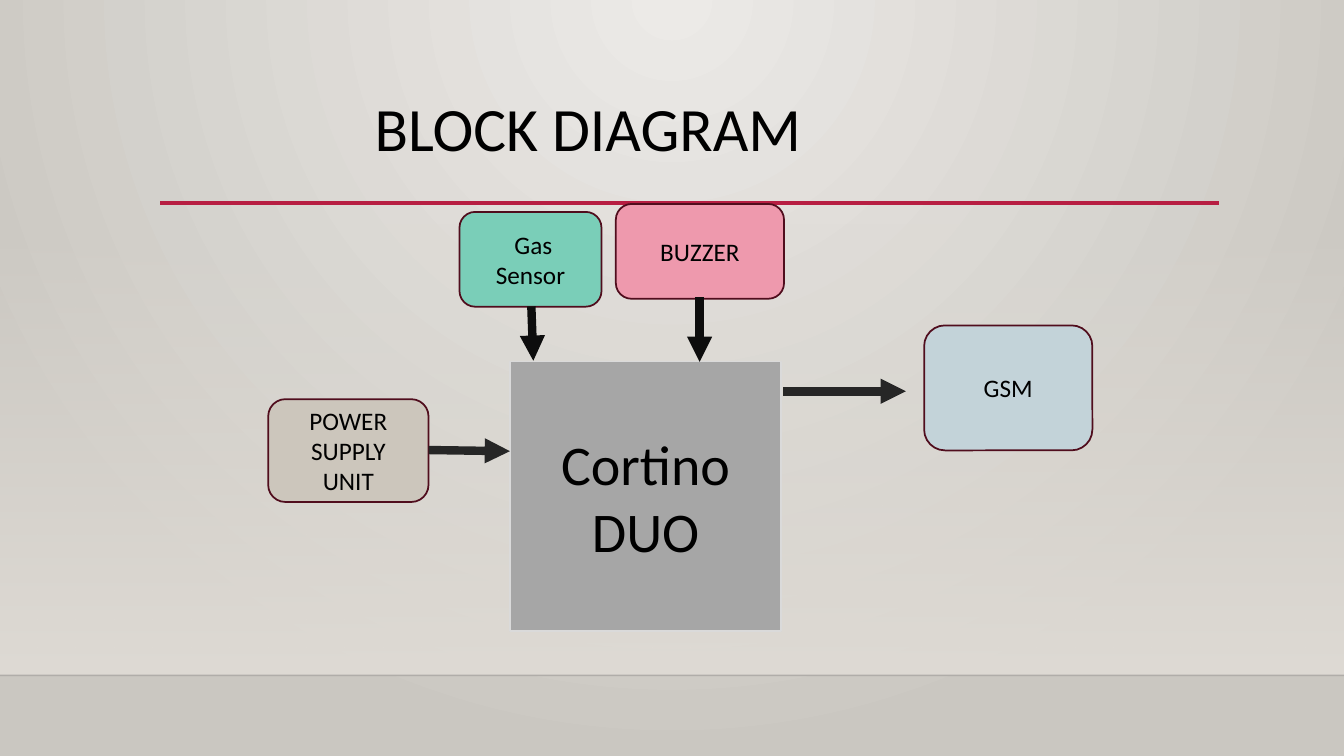
from pptx import Presentation
from pptx.dml.color import RGBColor as RGB
from pptx.enum.shapes import MSO_CONNECTOR as LINK, MSO_SHAPE as SHAPE
from pptx.enum.text import MSO_ANCHOR as ANCHOR, PP_ALIGN as ALIGN
from pptx.oxml.ns import qn
from pptx.util import Cm, Pt
from lxml.etree import SubElement as sub

BLACK = RGB(0, 0, 0)
EDGE = RGB(0x00, 0x00, 0x01)
INK = RGB(0x0D, 0x0D, 0x0D)
DARK = RGB(0x26, 0x26, 0x26)
RED = RGB(0xB7, 0x1E, 0x42)
WINE = RGB(0x50, 0x0D, 0x1D)
GREY = RGB(0xA6, 0xA6, 0xA6)
PALE = RGB(0xDA, 0xDA, 0xDA)
BLUE = RGB(0xC3, 0xD3, 0xD9)
PINK = RGB(0xEE, 0x99, 0xAD)
GREEN = RGB(0x7A, 0xCE, 0xB8)
TAN = RGB(0xCC, 0xC6, 0xBC)
SAND = RGB(0xDF, 0xDB, 0xD5)
LIGHT = RGB(0xEC, 0xEA, 0xE7)
SHADE = RGB(0xCA, 0xC7, 0xC1)

WIDE, HIGH = 33.87, 19.05
FLOOR = 17.02


def apply(item, form):
    for name, value in form.items():
        setattr(item, name, value)


def fade(color, part):
    """Set the opacity of a colour element, in percent."""
    sub(color, qn("a:alpha"), val=str(part * 1000))


class Board:
    font = "Calibri"
    frame = {"word_wrap": True, "vertical_anchor": ANCHOR.MIDDLE}

    def __init__(self, deck):
        self.slide = deck.slides.add_slide(deck.slide_layouts[5])
        self.shapes = self.slide.shapes

    def blend(self, fill, first, last):
        fill.gradient()
        for stop, color, spot in zip(fill.gradient_stops, (first, last), (0, 1)):
            stop.color.rgb = color
            stop.position = spot

    def back(self, first, last):
        """Fill the background with rings centred on the top edge."""
        self.blend(self.slide.background.fill, first, last)
        grad = self.slide.element.xpath(".//p:bgPr/a:gradFill")[0]
        grad.remove(grad.find(qn("a:lin")))
        rings = sub(grad, qn("a:path"), {"path": "circle"})
        sub(rings, qn("a:fillToRect"), l="43000", t="0", r="43000", b="100000")

    def panel(self, x, y, w, h, color):
        """Add a band that fades in from top to bottom."""
        band = self.shapes.add_shape(SHAPE.RECTANGLE, Cm(x), Cm(y), Cm(w), Cm(h))
        band.shadow.inherit = False
        band.line.fill.background()
        self.blend(band.fill, color, color)
        band.fill.gradient_angle = 270
        fade(band.element.xpath(".//a:gs/a:srgbClr")[0], 0)

    def label(self, frame, text, size, align):
        para = frame.paragraphs[0]
        para.alignment = align
        run = para.add_run()
        run.text = text
        apply(run.font, {"name": self.font, "size": Pt(size)})
        run.font.color.rgb = BLACK
        return para

    def title(self, text, x, y, w, h, size, inset):
        head = self.shapes.title
        apply(head, {"left": Cm(x), "top": Cm(y), "width": Cm(w), "height": Cm(h)})
        apply(head.text_frame, {**self.frame, "vertical_anchor": ANCHOR.TOP,
                                "margin_left": Cm(inset)})
        self.label(head.text_frame, text, size, ALIGN.LEFT).line_spacing = 0.9

    def block(self, text, x, y, w, h, color, edge=WINE, size=18,
              kind=SHAPE.ROUNDED_RECTANGLE):
        box = self.shapes.add_shape(kind, Cm(x), Cm(y), Cm(w), Cm(h))
        box.shadow.inherit = False
        box.fill.solid()
        box.fill.fore_color.rgb = color
        box.line.color.rgb = edge
        box.line.width = Pt(1.25)
        apply(box.text_frame, self.frame)
        self.label(box.text_frame, text, size, ALIGN.CENTER)

    def line(self, x1, y1, x2, y2, color, width):
        link = self.shapes.add_connector(LINK.STRAIGHT, Cm(x1), Cm(y1), Cm(x2), Cm(y2))
        link.line.color.rgb = color
        link.line.width = Pt(width)
        sub(link.element.spPr, qn("a:effectLst"))
        return link

    def arrow(self, x1, y1, x2, y2, color):
        link = self.line(x1, y1, x2, y2, color, 6)
        sub(link.element.spPr.find(qn("a:ln")), qn("a:tailEnd"), type="triangle")


def main():
    deck = Presentation()
    apply(deck, {"slide_width": Cm(WIDE), "slide_height": Cm(HIGH)})
    board = Board(deck)

    board.back(LIGHT, SHADE)
    board.panel(0, 5.61, WIDE, FLOOR - 5.61, SAND)
    floor = board.line(0, FLOOR, WIDE, FLOOR, EDGE, 1)
    fade(floor.element.xpath(".//a:ln//a:srgbClr")[0], 20)
    board.line(4.04, 5.12, 30.73, 5.12, RED, 2.5)
    board.title("BLOCK DIAGRAM", 2.84, 2.34, 26.67, 2.92, size=44, inset=6.6)

    board.block("Cortino DUO", 12.85, 9.11, 6.84, 6.8, GREY, PALE, 40, SHAPE.RECTANGLE)
    for block in (
        ("GSM", 23.29, 8.2, 4.24, 3.15, BLUE),
        ("BUZZER", 15.52, 5.14, 4.24, 2.39, PINK),
        (" Gas Sensor", 11.58, 5.34, 3.58, 2.39, GREEN),
        ("POWER SUPPLY UNIT", 6.76, 10.06, 4.04, 2.59, TAN),
    ):
        board.block(*block)

    for arrow in (
        (19.74, 9.86, 22.83, 9.86, DARK),
        (17.63, 7.49, 17.63, 9.12, INK),
        (13.39, 7.72, 13.44, 9.09, INK),
        (10.8, 11.34, 12.85, 11.37, DARK),
    ):
        board.arrow(*arrow)

    deck.save("out.pptx")


if __name__ == "__main__":
    main()
